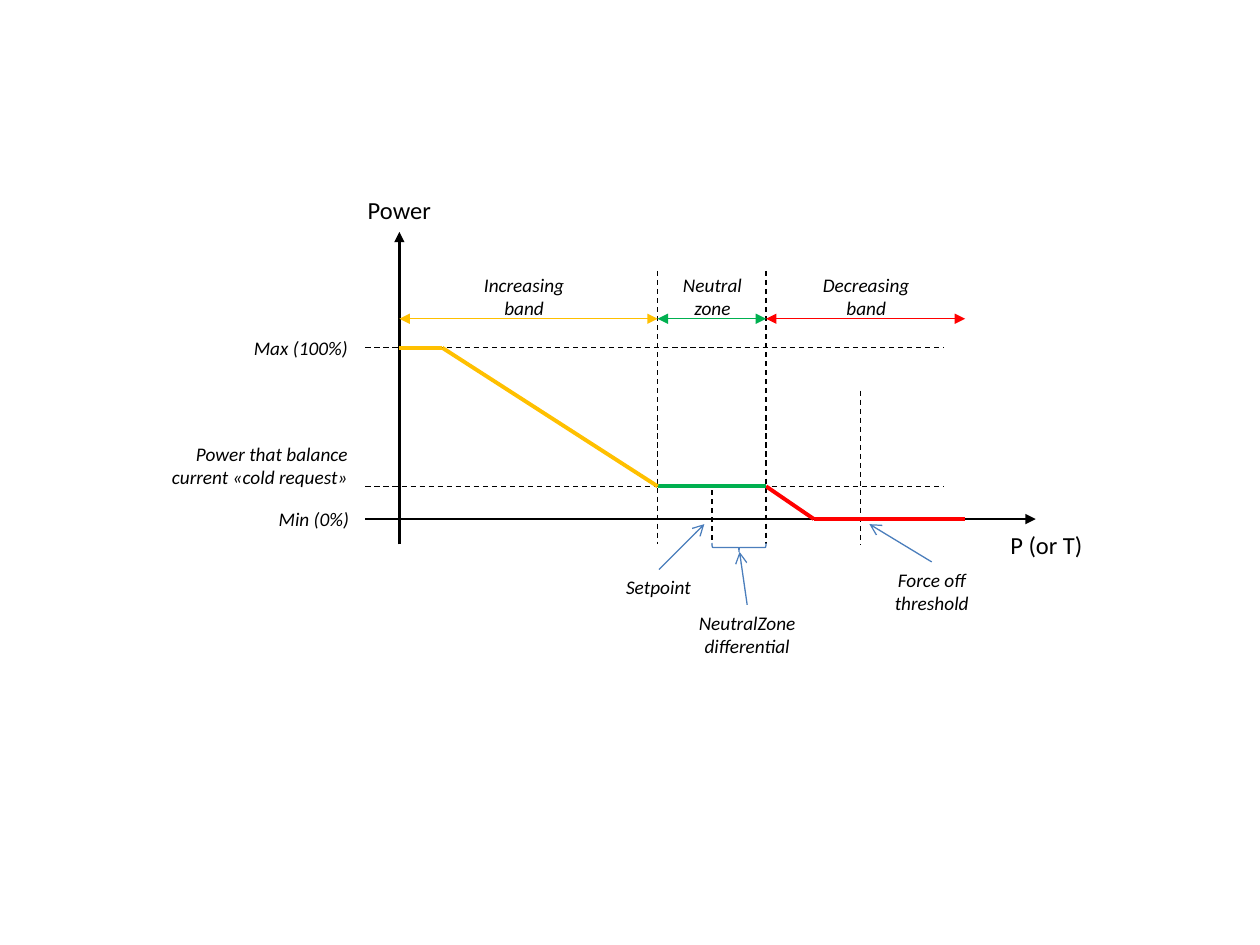
import itertools
from dataclasses import dataclass
from typing import Optional

import lxml.etree
import pptx
import pptx.dml.color
import pptx.enum.dml
import pptx.enum.shapes
import pptx.enum.text
import pptx.oxml.ns
import pptx.util

Align = pptx.enum.text.PP_ALIGN


@dataclass(frozen=True)
class Theme:
    font: str = "Calibri"
    ink: str = "000000"
    pointer: str = "4B7EBC"
    increasing: str = "FFC000"
    neutral: str = "00B050"
    decreasing: str = "FF0000"
    axis_size: float = 14
    note_size: float = 11
    thin: float = 0.75
    axis: float = 1.5
    curve: float = 2.25


@dataclass(frozen=True)
class Point:
    col: float
    row: float


@dataclass(frozen=True)
class Stroke:
    color: str
    width: float
    dashed: bool = False
    start: Optional[str] = None
    end: Optional[str] = None


@dataclass(frozen=True)
class Label:
    lines: tuple[str, ...]
    col: float
    row: float
    cols: float
    rows: float
    align: Align = Align.CENTER
    is_axis: bool = False


@dataclass(frozen=True)
class Callout:
    label: Label
    target: Point


@dataclass(frozen=True)
class Band:
    label: Label
    color: str
    left: float
    right: float


THEME = Theme()
COLUMNS, ROWS = 100, 75
CELL = pptx.util.Inches(0.1)

POWER_AXIS, ZONE_LEFT, SETPOINT, ZONE_RIGHT, FORCE_OFF = 31.7, 52.2, 56.5, 60.8, 68.3
BAND_ROW, MAX_ROW, BALANCE_ROW, MIN_ROW, GUIDE_END = 25.3, 27.6, 38.6, 41.2, 43.2
GUIDE_TOP, GUIDE_LEFT, GUIDE_RIGHT, BAND_END = 21.5, 29, 74.9, 76.6

AXES = (
    (Point(POWER_AXIS, GUIDE_END), Point(POWER_AXIS, 18.4)),
    (Point(GUIDE_LEFT, MIN_ROW), Point(82.2, MIN_ROW)),
)
LEVELS = (BALANCE_ROW, MAX_ROW)
THRESHOLDS = (
    Point(ZONE_LEFT, GUIDE_TOP),
    Point(SETPOINT, 38.9),
    Point(ZONE_RIGHT, GUIDE_TOP),
    Point(FORCE_OFF, 31),
)
CURVE = (
    Point(BAND_END, MIN_ROW),
    Point(64.6, MIN_ROW),
    Point(ZONE_RIGHT, BALANCE_ROW),
    Point(ZONE_LEFT, BALANCE_ROW),
    Point(35.1, MAX_ROW),
    Point(POWER_AXIS, MAX_ROW),
)
CURVE_COLORS = (
    THEME.decreasing, THEME.decreasing, THEME.neutral, THEME.increasing, THEME.increasing,
)
LABELS = (
    Label(("Power",), 28.2, 15, 7.1, 3.4, Align.LEFT, True),
    Label(("P (or T)",), 79.2, 41.6, 7.8, 3.4, Align.LEFT, True),
    Label(("Min (0%)",), 21, 39.8, 7.7, 2.9, Align.RIGHT),
    Label(("Max (100%)",), 19, 26.2, 9.6, 2.9, Align.RIGHT),
    Label(("Power that balance", "current «cold request»"), 12.5, 34.6, 16.1, 4.7, Align.RIGHT),
)
CALLOUTS = (
    Callout(Label(("Setpoint",), 48.7, 45.2, 7.2, 2.9, Align.LEFT), Point(55.9, 41.6)),
    Callout(Label(("NeutralZone", "differential"), 54.4, 48, 9.8, 4.7), Point(58.7, 43.8)),
    Callout(Label(("Force off", "threshold"), 70, 44.6, 7.9, 4.7), Point(69, 41.6)),
)
BANDS = (
    Band(Label(("Decreasing", "band"), 64.3, 21.2, 8.9, 4.9),
         THEME.decreasing, ZONE_RIGHT, BAND_END),
    Band(Label(("Increasing", "band"), 37.4, 21.2, 8.4, 4.9),
         THEME.increasing, POWER_AXIS, ZONE_LEFT),
    Band(Label(("Neutral", "zone"), 53.2, 21.2, 6.7, 4.9),
         THEME.neutral, ZONE_LEFT, ZONE_RIGHT),
)


def grid(cells: float) -> int:
    return round(cells * CELL)


def rgb(color: str) -> pptx.dml.color.RGBColor:
    return pptx.dml.color.RGBColor.from_string(color)


def draw_line(slide, begin: Point, end: Point, stroke: Stroke):
    connector = slide.shapes.add_connector(
        pptx.enum.shapes.MSO_CONNECTOR.STRAIGHT,
        grid(begin.col), grid(begin.row), grid(end.col), grid(end.row),
    )
    connector.line.color.rgb = rgb(stroke.color)
    connector.line.width = pptx.util.Pt(stroke.width)
    if stroke.dashed:
        connector.line.dash_style = pptx.enum.dml.MSO_LINE.DASH
    outline = connector.line._get_or_add_ln()
    for tag, arrow in (("a:headEnd", stroke.start), ("a:tailEnd", stroke.end)):
        if arrow:
            lxml.etree.SubElement(outline, pptx.oxml.ns.qn(tag), type=arrow)
    lxml.etree.SubElement(connector._element.spPr, pptx.oxml.ns.qn("a:effectLst"))
    return connector


def draw_label(slide, label: Label):
    box = slide.shapes.add_textbox(
        grid(label.col), grid(label.row), grid(label.cols), grid(label.rows)
    )
    frame = box.text_frame
    frame.word_wrap = False
    frame.auto_size = pptx.enum.text.MSO_AUTO_SIZE.SHAPE_TO_FIT_TEXT
    for index, line in enumerate(label.lines):
        paragraph = frame.add_paragraph() if index else frame.paragraphs[0]
        paragraph.alignment = label.align
        run = paragraph.add_run()
        run.text = line
        run.font.name = THEME.font
        run.font.size = pptx.util.Pt(THEME.axis_size if label.is_axis else THEME.note_size)
        run.font.italic = not label.is_axis
        run.font.color.rgb = rgb(THEME.ink)
    return box


def draw_callout(slide, callout: Callout) -> None:
    label = callout.label
    note = draw_label(slide, label)
    pointer = draw_line(
        slide, Point(label.col + label.cols / 2, label.row), callout.target,
        Stroke(THEME.pointer, THEME.thin, end="arrow"),
    )
    pointer.begin_connect(note, 0)


def draw_band(slide, band: Band) -> None:
    draw_line(
        slide, Point(band.right, BAND_ROW), Point(band.left, BAND_ROW),
        Stroke(band.color, THEME.thin, start="triangle", end="triangle"),
    )
    draw_label(slide, band.label)


def draw_differential_brace(slide) -> None:
    brace = slide.shapes.add_shape(
        pptx.enum.shapes.MSO_SHAPE.RIGHT_BRACE, grid(58.3), grid(41.3), grid(0.7), grid(4.3)
    )
    brace.rotation = 90
    brace.shadow.inherit = False
    brace.fill.background()
    brace.line.color.rgb = rgb(THEME.pointer)
    brace.line.width = pptx.util.Pt(THEME.thin)


def main() -> None:
    deck = pptx.Presentation()
    deck.slide_width, deck.slide_height = grid(COLUMNS), grid(ROWS)
    slide = deck.slides.add_slide(deck.slide_layouts[6])
    guide = Stroke(THEME.ink, THEME.thin, dashed=True)

    for begin, end in AXES:
        draw_line(slide, begin, end, Stroke(THEME.ink, THEME.axis, end="triangle"))
    for row in LEVELS:
        draw_line(slide, Point(GUIDE_LEFT, row), Point(GUIDE_RIGHT, row), guide)
    for top in THRESHOLDS:
        draw_line(slide, top, Point(top.col, GUIDE_END), guide)
    for label in LABELS:
        draw_label(slide, label)
    draw_differential_brace(slide)
    for callout in CALLOUTS:
        draw_callout(slide, callout)
    for (begin, end), color in zip(itertools.pairwise(CURVE), CURVE_COLORS):
        draw_line(slide, begin, end, Stroke(color, THEME.curve))
    for band in BANDS:
        draw_band(slide, band)
    deck.save("out.pptx")


if __name__ == "__main__":
    main()
